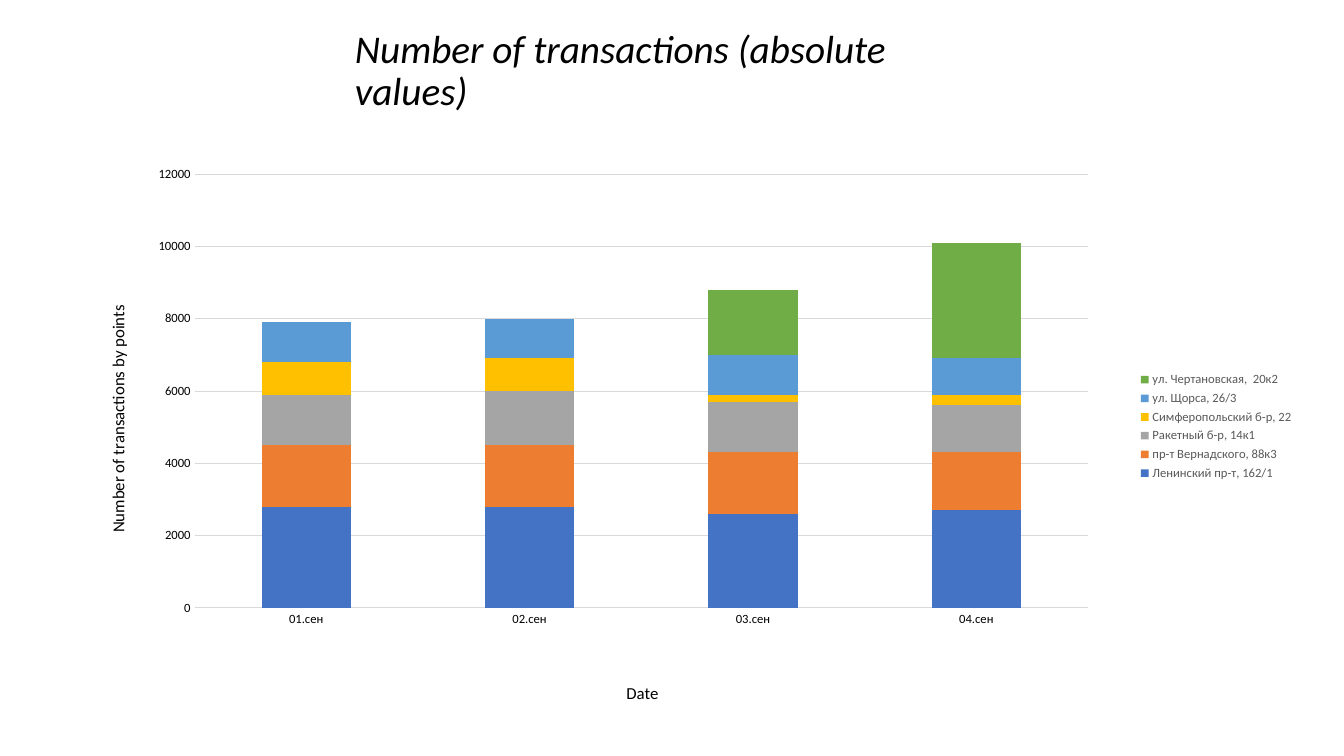
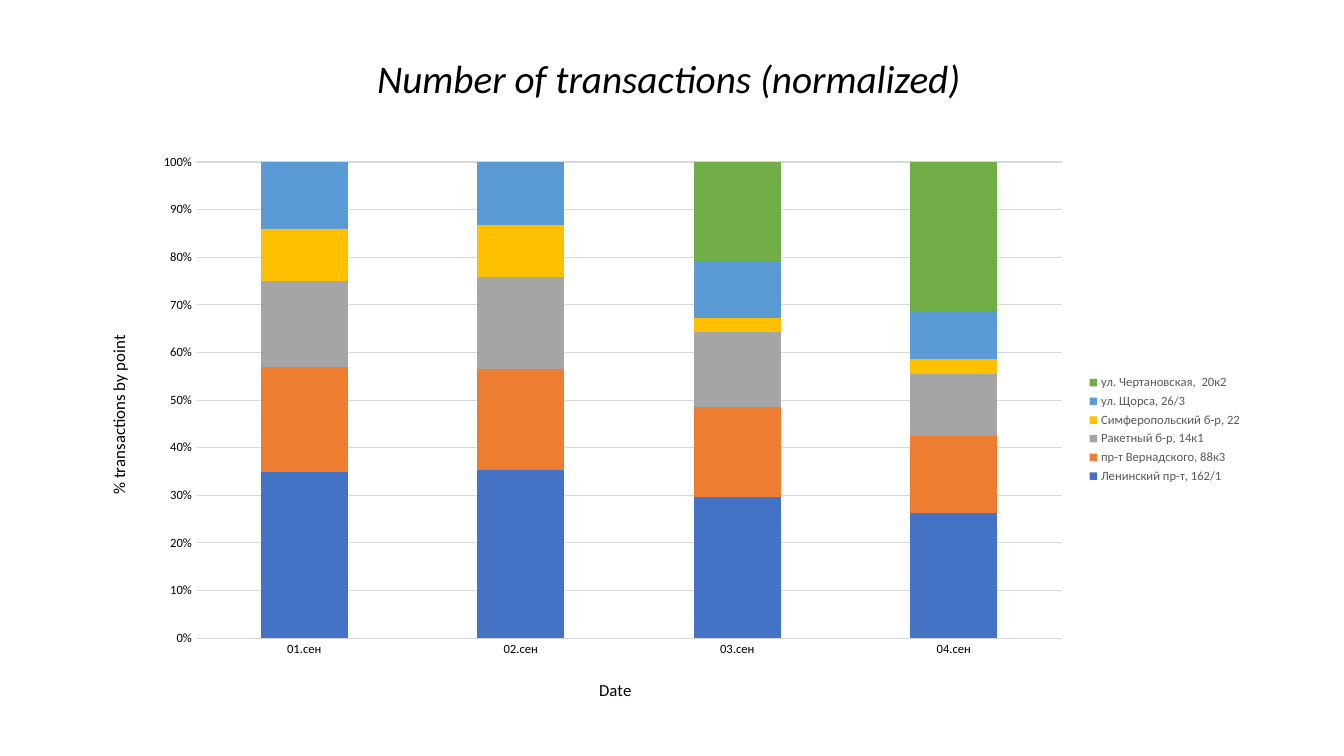
"""Build two slides of stacked columns showing transactions per point."""
from lxml.etree import SubElement
from pptx import Presentation
from pptx.chart.data import CategoryChartData
from pptx.dml.color import RGBColor
from pptx.enum.chart import XL_CHART_TYPE, XL_LEGEND_POSITION, XL_TICK_MARK
from pptx.enum.text import MSO_ANCHOR, MSO_AUTO_SIZE, PP_ALIGN
from pptx.oxml.ns import qn
from pptx.util import Inches, Pt

rgb = RGBColor.from_string
FONT = "Calibri"
BLACK, LEGEND_GREY, GRID_GREY = "000000", "595959", "D9D9D9"
DATES = ["01.сен", "02.сен", "03.сен", "04.сен"]
POINTS = [
    ("Ленинский пр-т, 162/1", "4472C4"),
    ("пр-т Вернадского, 88к3", "ED7D31"),
    ("Ракетный б-р, 14к1", "A5A5A5"),
    ("Симферопольский б-р, 22", "FFC000"),
    ("ул. Щорса, 26/3", "5B9BD5"),
    ("ул. Чертановская,  20к2", "70AD47"),
]
SLIDES = [
    {
        "title": "Number of transactions (absolute values)",
        "title_box": (3.42, 0.47, 6.65, 0.49),
        "chart_type": XL_CHART_TYPE.COLUMN_STACKED,
        "chart_box": (0.57, 1.36, 12.36, 5.74),
        "plot_area": (0.11, 0.064, 0.717, 0.75),
        "number_format": "0",
        "date_at": (0.454, 0.936),
        "measure": "Number of transactions by points",
        "measure_at": (0.037, 0.285),
        "values": [
            (2800, 2800, 2600, 2700),
            (1700, 1700, 1700, 1600),
            (1400, 1500, 1400, 1300),
            (900, 900, 200, 300),
            (1100, 1100, 1100, 1000),
            (None, None, 1800, 3200),
        ],
    },
    {
        "title": "Number of transactions (normalized)",
        "title_box": (3.64, 0.53, 6.05, 0.54),
        "chart_type": XL_CHART_TYPE.COLUMN_STACKED_100,
        "chart_box": (0.92, 1.42, 11.5, 5.68),
        "plot_area": (0.089, 0.033, 0.747, 0.832),
        "number_format": "0%",
        "date_at": (0.434, 0.93),
        "measure": "% transactions by point",
        "measure_at": (0.01, 0.33),
        "values": [
            (35, 35, 30, 26),
            (22, 21, 19, 16),
            (18, 19, 16, 13),
            (11, 11, 3, 3),
            (14, 13, 12, 10),
            (None, None, 21, 31),
        ],
    },
]


def write_text(frame, text, size, italic=False, line_spacing=None, align=None):
    paragraph = frame.paragraphs[0]
    paragraph.line_spacing = line_spacing
    paragraph.alignment = align
    run = paragraph.add_run()
    run.text = text
    run.font.name = FONT
    run.font.size = Pt(size)
    run.font.bold = False
    run.font.italic = italic
    run.font.color.rgb = rgb(BLACK)


def place_part(element, index, fractions):
    for old_layout in element.findall(qn("c:layout")):
        element.remove(old_layout)
    layout = SubElement(element, qn("c:layout"))
    element.insert(index, layout)
    manual = SubElement(layout, qn("c:manualLayout"))
    if len(fractions) == 4:
        SubElement(manual, qn("c:layoutTarget")).set("val", "inner")
    for mode in ("xMode", "yMode"):
        SubElement(manual, qn(f"c:{mode}")).set("val", "edge")
    for side, fraction in zip("xywh", fractions):
        SubElement(manual, qn(f"c:{side}")).set("val", str(fraction))


presentation = Presentation()
presentation.slide_width = Inches(13.33)
presentation.slide_height = Inches(7.5)
title_only = presentation.slide_layouts[5]

for content in SLIDES:
    slide = presentation.slides.add_slide(title_only)
    title = slide.shapes.title
    title.left, title.top, title.width, title.height = map(Inches, content["title_box"])
    title.text_frame.auto_size = MSO_AUTO_SIZE.NONE
    title.text_frame.word_wrap = True
    title.text_frame.vertical_anchor = MSO_ANCHOR.MIDDLE
    write_text(title.text_frame, content["title"], size=28, italic=True,
               line_spacing=0.9, align=PP_ALIGN.LEFT)

    transactions = CategoryChartData()
    transactions.categories = DATES
    for (point, _), values in zip(POINTS, content["values"]):
        transactions.add_series(point, values)
    chart = slide.shapes.add_chart(
        content["chart_type"], *map(Inches, content["chart_box"]), transactions
    ).chart
    chart.has_title = False
    chart.font.name = FONT
    chart.font.size = Pt(10)
    chart.font.color.rgb = rgb(BLACK)
    place_part(chart.element.find(f".//{qn('c:plotArea')}"), 0, content["plot_area"])

    columns = chart.plots[0]
    columns.gap_width = 150
    columns.overlap = 100
    columns.vary_by_categories = False
    for series, (_, color) in zip(columns.series, POINTS):
        series.format.fill.solid()
        series.format.fill.fore_color.rgb = rgb(color)

    chart.has_legend = True
    chart.legend.position = XL_LEGEND_POSITION.RIGHT
    chart.legend.include_in_layout = False
    chart.legend.font.name = FONT
    chart.legend.font.size = Pt(9)
    chart.legend.font.color.rgb = rgb(LEGEND_GREY)

    dates, measure = chart.category_axis, chart.value_axis
    for axis, caption, position, rotation in (
        (dates, "Date", content["date_at"], 0),
        (measure, content["measure"], content["measure_at"], -90),
    ):
        axis.major_tick_mark = XL_TICK_MARK.NONE
        axis.minor_tick_mark = XL_TICK_MARK.NONE
        axis.tick_labels.font.name = FONT
        axis.tick_labels.font.size = Pt(9)
        axis.tick_labels.font.color.rgb = rgb(BLACK)
        write_text(axis.axis_title.text_frame, caption, size=12)
        caption_element = axis.axis_title.element
        caption_element.find(f".//{qn('a:bodyPr')}").set("rot", str(rotation * 60000))
        place_part(caption_element, 1, position)

    measure.tick_labels.number_format = content["number_format"]
    measure.tick_labels.number_format_is_linked = False
    measure.format.line.fill.background()
    measure.has_major_gridlines = True
    for line in (dates.format.line, measure.major_gridlines.format.line):
        line.color.rgb = rgb(GRID_GREY)
        line.width = Pt(0.75)

presentation.save("out.pptx")
